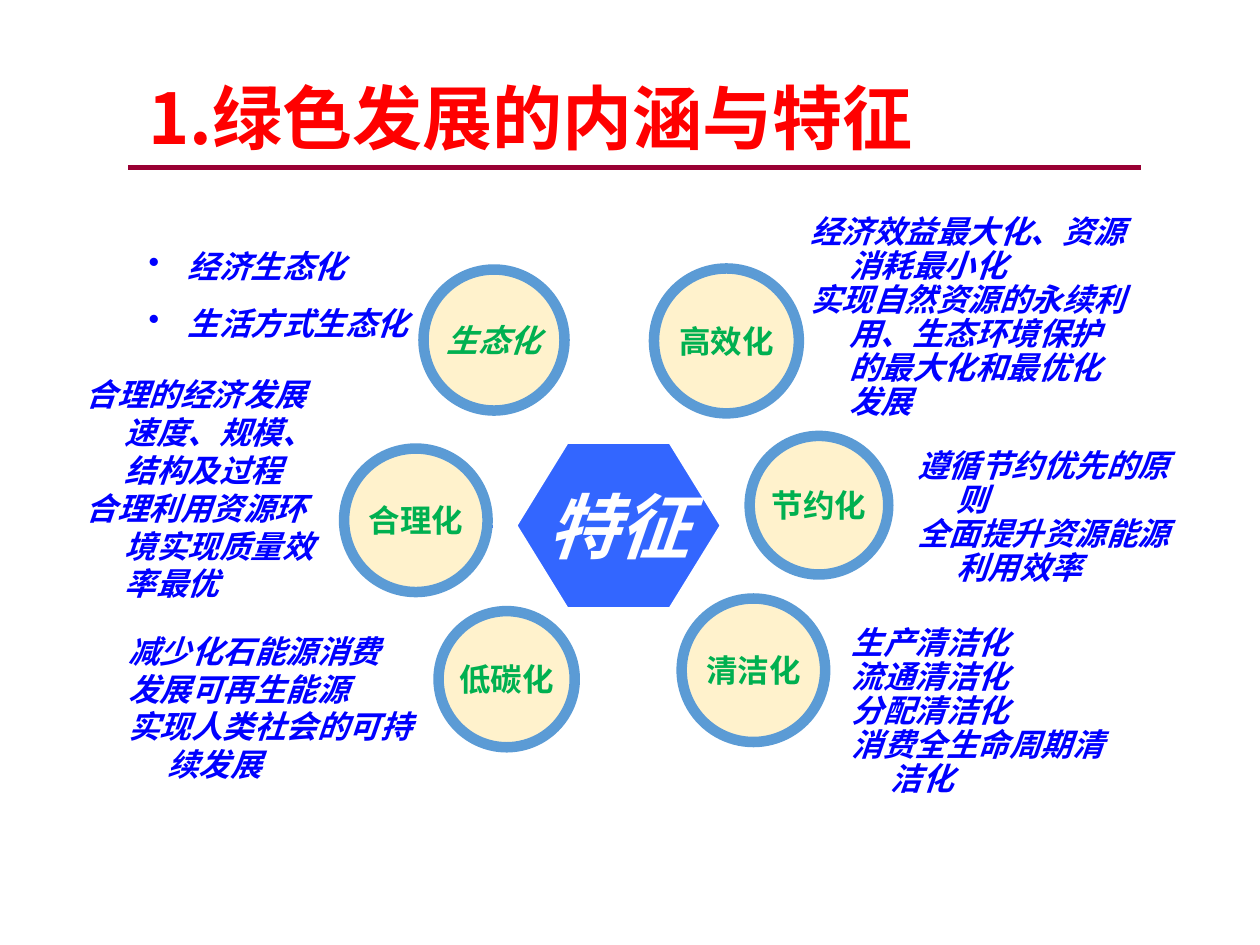
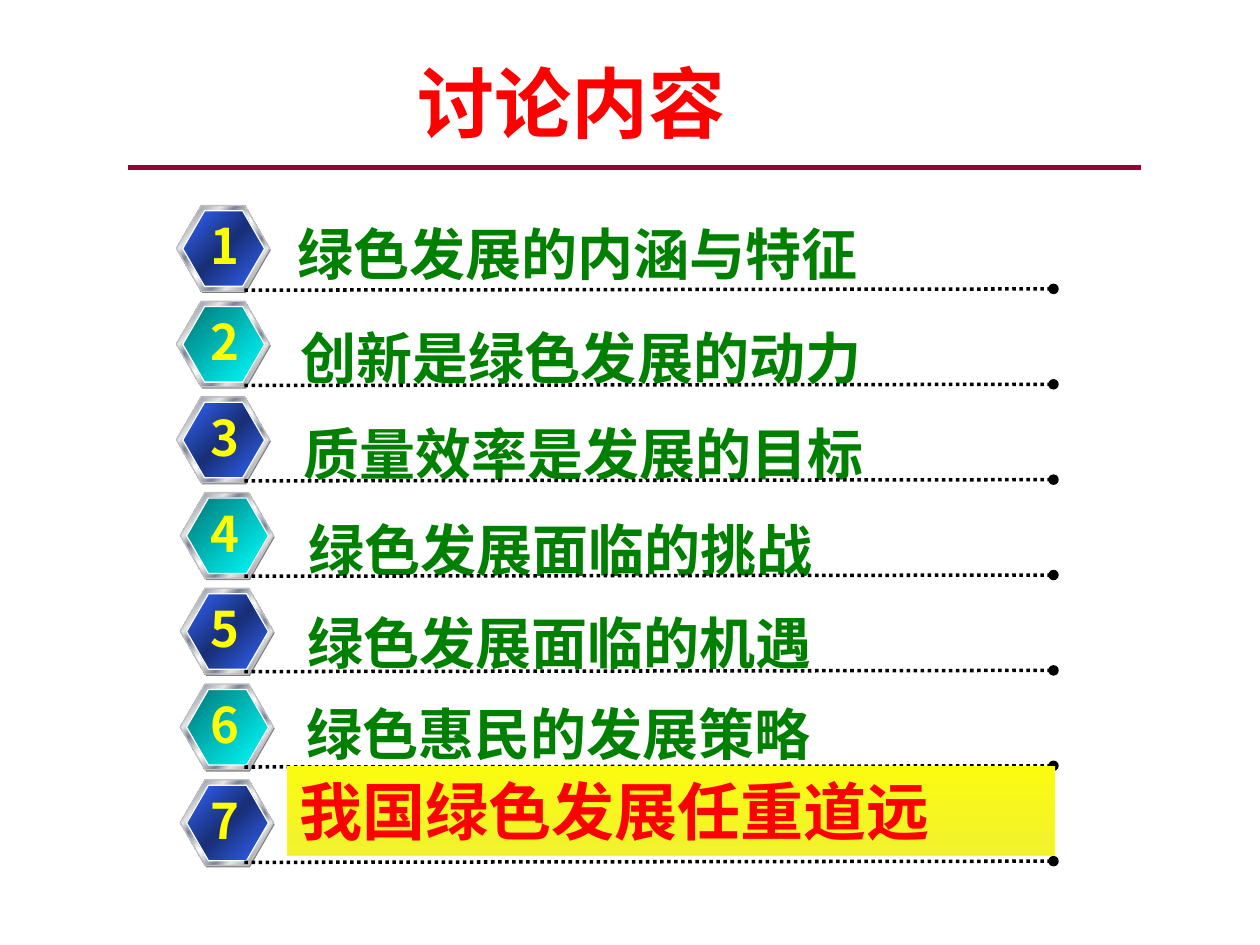
from lxml import etree
from pptx import Presentation
from pptx.dml.color import RGBColor
from pptx.enum.dml import MSO_LINE
from pptx.enum.shapes import MSO_CONNECTOR, MSO_SHAPE
from pptx.enum.text import MSO_ANCHOR, MSO_AUTO_SIZE, PP_ALIGN
from pptx.oxml.ns import qn
from pptx.util import Pt

OVAL, HEXAGON, RECTANGLE = MSO_SHAPE.OVAL, MSO_SHAPE.HEXAGON, MSO_SHAPE.RECTANGLE
STRAIGHT = MSO_CONNECTOR.STRAIGHT
DOTTED = MSO_LINE.ROUND_DOT
LEFT, CENTER = PP_ALIGN.LEFT, PP_ALIGN.CENTER
TOP, MIDDLE = MSO_ANCHOR.TOP, MSO_ANCHOR.MIDDLE
NO_FIT = MSO_AUTO_SIZE.NONE

RED = RGBColor(0xFF, 0x00, 0x00)
MAROON = RGBColor(0x99, 0x00, 0x33)
BLUE = RGBColor(0x00, 0x00, 0xFF)
ROYAL = RGBColor(0x33, 0x66, 0xFF)
NAVY = RGBColor(0x18, 0x2F, 0x76)
SKY = RGBColor(0x5B, 0x9B, 0xD5)
CREAM = RGBColor(0xFF, 0xF2, 0xCC)
LEAF = RGBColor(0x00, 0xB0, 0x50)
GREEN = RGBColor(0x00, 0x80, 0x00)
DARK_TEAL = RGBColor(0x00, 0x76, 0x76)
CYAN = RGBColor(0x00, 0xFF, 0xFF)
YELLOW = RGBColor(0xFF, 0xFF, 0x00)
LEMON = RGBColor(0xFB, 0xFB, 0x11)
MUSTARD = RGBColor(0xF1, 0xF1, 0x2F)
WHITE = RGBColor(0xFF, 0xFF, 0xFF)
BLACK = RGBColor(0x00, 0x00, 0x00)
GRAY = RGBColor(0x80, 0x80, 0x80)
SILVER = RGBColor(0xC0, 0xC0, 0xC0)
PALE = RGBColor(0xE6, 0xE6, 0xE6)
STEEL = RGBColor(0x7D, 0x84, 0x96)

CJK = "Noto Sans CJK SC"
HANGING = 22.3
METAL = [(0, PALE), (8, STEEL), (26, PALE), (34, STEEL), (46, PALE), (50, WHITE),
         (54, PALE), (66, STEEL), (74, PALE), (92, STEEL), (100, PALE)]
BADGE_FILLS = [[(0, ROYAL), (50, NAVY), (100, ROYAL)], [(0, DARK_TEAL), (100, CYAN)]]

CIRCLES = [
    ("生态化", 242, 154, 80.6, "Calibri", True),
    ("合理化", 196.6, 256.3, 82, "Arial", False),
    ("低碳化", 250.6, 349.2, 77.8, "Arial", False),
    ("清洁化", 389.5, 342, 82, "Arial", False),
    ("节约化", 428.4, 249.1, 79.2, "Arial", False),
    ("高效化", 373.7, 153.4, 82.8, "Arial", False),
]
NOTES = [
    (["经济效益最大化、资源消耗最小化",
      "实现自然资源的永续利用、生态环境保护的最大化和最优化发展"],
     (457.9, 141.9, 192.2, 79.9), 0.9, None),
    (["遵循节约优先的原则", "全面提升资源能源利用效率"],
     (519.1, 267.8, 164.9, 56.2), 0.9, None),
    (["生产清洁化", "流通清洁化", "分配清洁化", "消费全生命周期清洁化"],
     (481.7, 366.5, 159.1, 81.4), 0.9, None),
    (["经济生态化", "生活方式生态化"], (79.9, 139.1, 161.3, 47.5), 1.5, "•"),
    (["合理的经济发展速度、规模、结构及过程", "合理利用资源环境实现质量效率最优"],
     (43.9, 238.3, 144, 82.1), None, None),
    (["减少化石能源消费", "发展可再生能源", "实现人类社会的可持续发展"],
     (68.4, 365, 178.6, 78.5), None, None),
]
TOPICS = [
    ("绿色发展的内涵与特征", 162.7, 121.7),
    ("创新是绿色发展的动力", 164.9, 181.4),
    ("质量效率是发展的目标", 166.3, 236.2),
    ("绿色发展面临的挑战", 169.2, 290.9),
    ("绿色发展面临的机遇", 168.5, 344.2),
    ("绿色惠民的发展策略", 167.8, 396),
]
FINAL_TOPIC = "我国绿色发展任重道远"


def write_text(shape, texts, size, color, font=CJK, italic=False, align=LEFT, anchor=TOP,
               insets=(7.2, 3.6), wrap=True, spacing=None, hanging=0, bullet=None):
    frame = shape.text_frame
    frame.auto_size = NO_FIT
    frame.word_wrap = wrap
    frame.vertical_anchor = anchor
    frame.margin_left = frame.margin_right = Pt(insets[0])
    frame.margin_top = frame.margin_bottom = Pt(insets[1])
    for index, text in enumerate(texts):
        para = frame.add_paragraph() if index else frame.paragraphs[0]
        para.alignment = align
        if spacing:
            para.line_spacing = spacing
        if hanging:
            properties = para._p.get_or_add_pPr()
            properties.set("marL", str(Pt(hanging)))
            properties.set("indent", str(-Pt(hanging)))
            if bullet:
                etree.SubElement(properties, qn("a:buChar"), char=bullet)
        span = para.add_run()
        span.text = text
        span.font.name = font
        span.font.size = Pt(size)
        span.font.bold = True
        span.font.italic = italic
        span.font.color.rgb = color
        etree.SubElement(span._r.get_or_add_rPr(), qn("a:ea"), typeface=font)


class DeckBuilder:
    def __init__(self):
        self.deck = Presentation()
        self.deck.slide_width, self.deck.slide_height = Pt(720), Pt(540)
        self.layout = self.deck.slide_layouts[5]
        for holder in list(self.layout.placeholders)[1:]:
            holder.element.getparent().remove(holder.element)
        self.page = None

    def add_page(self, title, bounds, size, align):
        first = self.page is None
        self.page = self.deck.slides.add_slide(self.layout)
        if first:
            rule = self.line((73.4, 95.8), (652.3, 95.8), MAROON, 3)
            self.layout.shapes.element.append(rule.element)
        holder = self.page.shapes.title
        holder.left, holder.top, holder.width, holder.height = map(Pt, bounds)
        write_text(holder, [title], size, RED, align=align)

    def line(self, start, end, color, width, dash=None, arrow=None):
        line = self.page.shapes.add_connector(STRAIGHT, *map(Pt, start + end))
        line.line.color.rgb = color
        line.line.width = Pt(width)
        if dash:
            line.line.dash_style = dash
        if arrow:
            etree.SubElement(line.line._get_or_add_ln(), qn("a:tailEnd"), type=arrow)
        etree.SubElement(line.element.spPr, qn("a:effectLst"))
        return line

    def shape(self, kind, bounds, fill, outline=None, width=0.75, angle=45,
              bend=None, group=None):
        owner = group or self.page
        shape = owner.shapes.add_shape(kind, *map(Pt, bounds))
        shape.shadow.inherit = False
        if bend:
            shape.adjustments[0] = bend
        if isinstance(fill, list):
            self.gradient(shape, fill, angle)
        else:
            shape.fill.solid()
            shape.fill.fore_color.rgb = fill
        if outline:
            shape.line.color.rgb = outline
            shape.line.width = Pt(width)
        else:
            shape.line.fill.background()
        return shape

    def gradient(self, shape, stops, angle):
        shape.fill.gradient()
        shape.fill.gradient_angle = 360 - angle
        stop_list = shape.element.spPr.find(qn("a:gradFill")).find(qn("a:gsLst"))
        for stop in list(stop_list):
            stop_list.remove(stop)
        for position, color in stops:
            stop = etree.SubElement(stop_list, qn("a:gs"), pos=str(position * 1000))
            etree.SubElement(stop, qn("a:srgbClr"), val=str(color))

    def text(self, texts, bounds, size, color, **style):
        box = self.page.shapes.add_textbox(*map(Pt, bounds))
        write_text(box, texts, size, color, **style)

    def badge(self, number, left, top):
        group = self.page.shapes.add_group_shape()
        inner = BADGE_FILLS[(number - 1) % 2]
        for dx, dy, width, height, fill, outline in [
            (0.7, 1, 53.3, 49, GRAY, None),
            (0, 0, 53.3, 49, METAL, SILVER),
            (3.6, 3.1, 46.8, 43.2, inner, WHITE),
        ]:
            self.shape(HEXAGON, (left + dx, top + dy, width, height), fill, outline,
                       bend=0.289, group=group)
        self.text([str(number)], (114.2, top + 2.5, 28.8, 41), 28, YELLOW,
                  align=CENTER, wrap=False)


def build_features(builder):
    builder.add_page("1.绿色发展的内涵与特征", (77.8, 38.9, 634.3, 55.4), 40, LEFT)
    builder.line((281.5, 301), (267.1, 301), ROYAL, 1.5, arrow="stealth")
    core = builder.shape(HEXAGON, (292.3, 250.6, 122.4, 99.4), ROYAL, WHITE, 6, bend=0.308)
    write_text(core, ["特征"], 40.5, WHITE, italic=True, align=CENTER, anchor=MIDDLE,
               insets=(0, 0))
    for texts, bounds, spacing, bullet in NOTES:
        builder.text(texts, bounds, 18, BLUE, font="Calibri", italic=True, anchor=MIDDLE,
                     insets=(5, 3), spacing=spacing, hanging=HANGING, bullet=bullet)
    for name, left, top, diameter, font, italic in CIRCLES:
        circle = builder.shape(OVAL, (left, top, diameter, diameter), CREAM, SKY, 6)
        write_text(circle, [name], 18, LEAF, font=font, italic=italic, align=CENTER,
                   anchor=MIDDLE, insets=(0, 0))


def build_agenda(builder):
    builder.add_page("讨论内容 ", (7.9, 28.1, 648, 90), 44, CENTER)
    for text, left, top in TOPICS:
        builder.text([text], (left, top, 366, 46), 32, GREEN)
    for index in range(len(TOPICS) + 1):
        builder.badge(index + 1, 100.8 if index < 3 else 103, 117.4 + 54.7 * index)
        level = 165.8 + 54.5 * index
        builder.line((139.7, level), (602, level - 0.7), BLACK, 2, DOTTED, "oval")
    banner = builder.shape(RECTANGLE, (164.2, 437.8, 438.5, 51.1), [(0, LEMON), (100, MUSTARD)],
                           YELLOW, angle=90)
    write_text(banner, [FINAL_TOPIC], 36, RED)


def main():
    builder = DeckBuilder()
    build_features(builder)
    build_agenda(builder)
    builder.deck.save("out.pptx")


if __name__ == "__main__":
    main()
